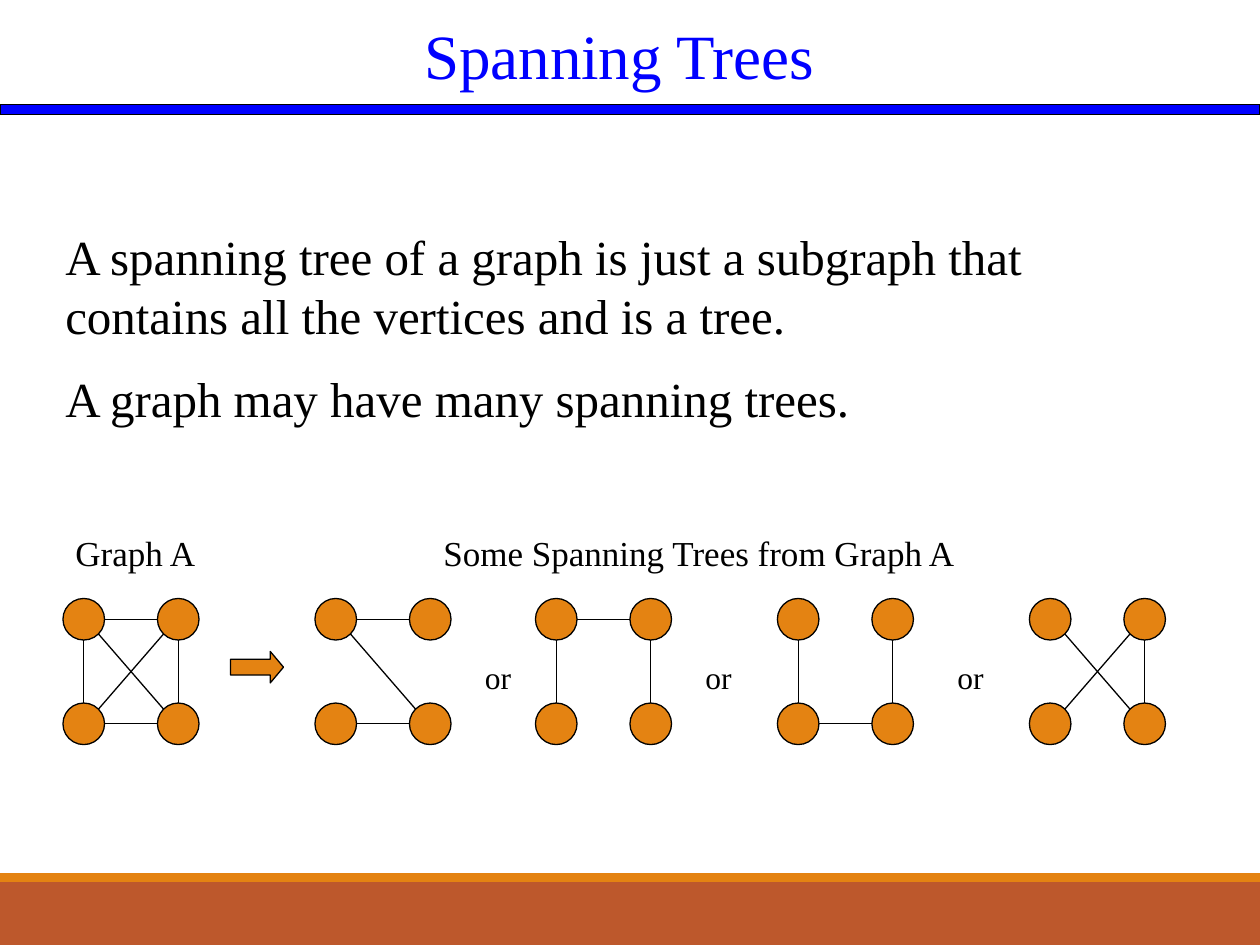
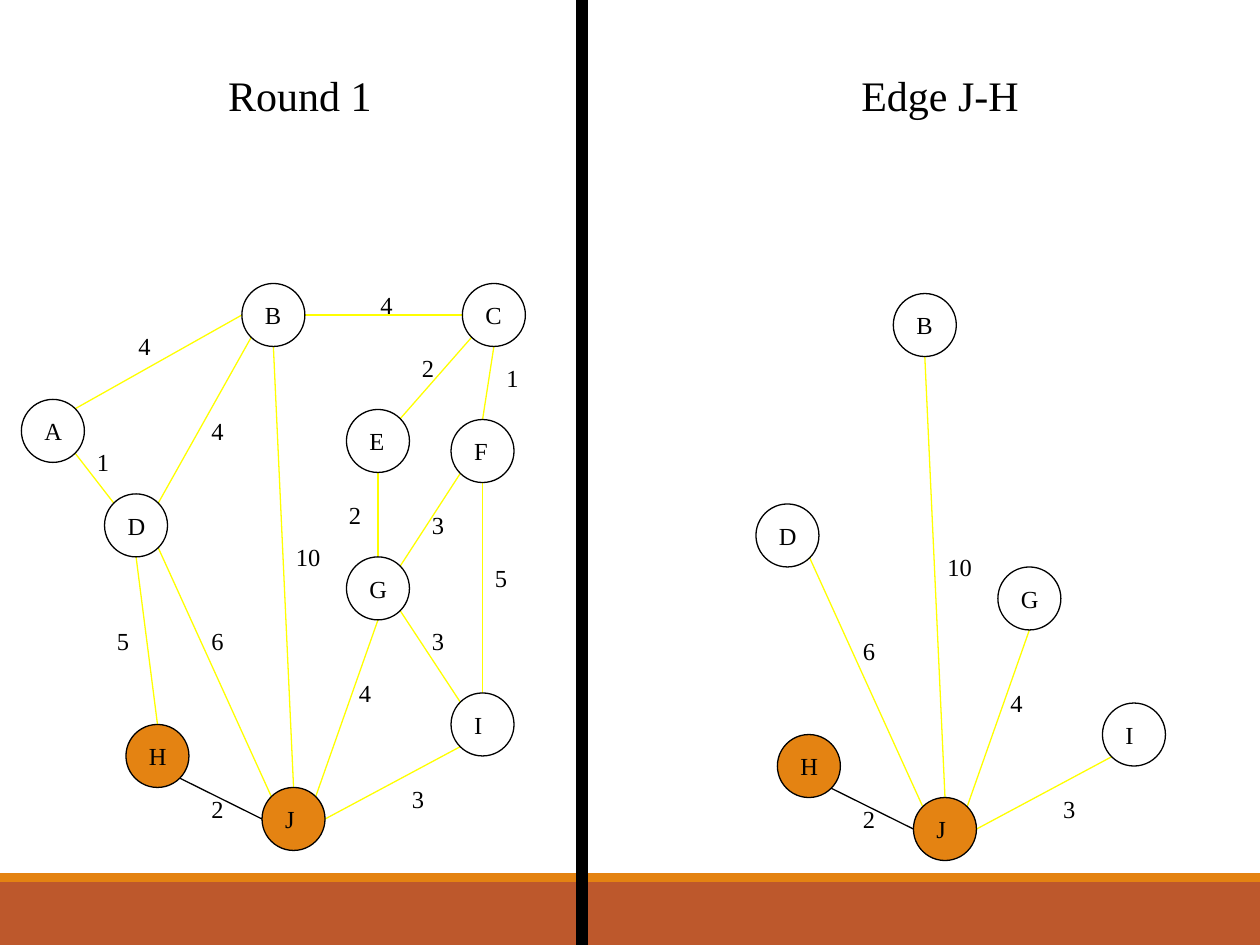
from pptx import Presentation
from pptx.dml.color import RGBColor
from pptx.enum.shapes import MSO_CONNECTOR, MSO_SHAPE
from pptx.enum.text import MSO_ANCHOR, MSO_AUTO_SIZE, PP_ALIGN
from pptx.oxml.ns import qn
from pptx.util import Inches, Pt
from lxml.etree import SubElement

FONT = "Times New Roman"
COLORS = {"black": "000000", "blue": "0000FF", "yellow": "FFFF00",
          "orange": "E48312", "rust": "BD582C", "white": "FFFFFF"}

# Points on a circle, as fractions of its box; the diagonals lie at 45 degrees.
NEAR, FAR = 0.15, 0.85
SITES = {"n": (0.5, 0), "s": (0.5, 1), "w": (0, 0.5), "e": (1, 0.5),
         "nw": (NEAR, NEAR), "ne": (FAR, NEAR), "sw": (NEAR, FAR), "se": (FAR, FAR)}

DEFINITIONS = [
    "A spanning tree of a graph is just a subgraph that contains all the vertices and is a tree.",
    "A graph may have many spanning trees.",
]
CAPTIONS = [("Graph A", 0.5, 1.17), ("Some Spanning Trees from Graph A", 3.42, 5.17)]
SQUARE_TOP, SQUARE_NODE = 4.75, 0.33
SQUARE_NODES = {"nw": (0, 0), "ne": (0.75, 0), "sw": (0, 0.83), "se": (0.75, 0.83)}
SQUARE_EDGES = {
    "top": ("nw", "e", "ne", "w"), "bottom": ("sw", "e", "se", "w"),
    "left": ("nw", "s", "sw", "n"), "right": ("ne", "s", "se", "n"),
    "rising": ("ne", "sw", "sw", "ne"), "falling": ("nw", "se", "se", "nw"),
}
SQUARES = [  # left, edges kept
    (0.5, list(SQUARE_EDGES)),
    (2.5, ["top", "bottom", "falling"]),
    (4.25, ["top", "left", "right"]),
    (6.17, ["left", "bottom", "right"]),
    (8.17, ["right", "rising", "falling"]),
]
OR_LEFTS = [3.75, 5.5, 7.5]

NODE = 0.5
NODES = {
    "A": (0.17, 3.17), "B": (1.92, 2.25), "C": (3.67, 2.25), "D": (0.83, 3.92),
    "E": (2.75, 3.25), "F": (3.58, 3.33), "G": (2.75, 4.42), "H": (1, 5.75),
    "I": (3.58, 5.5), "J": (2.08, 6.25),
}
EDGES = [  # start, site, end, site, weight, weight position
    ("A", "ne", "B", "w", 4, (1, 2.58)),
    ("A", "se", "D", "nw", 1, (0.67, 3.5)),
    ("B", "e", "C", "w", 4, (2.92, 2.25)),
    ("B", "sw", "D", "ne", 4, (1.58, 3.25)),
    ("B", "s", "J", "n", 10, (2.25, 4.25)),
    ("C", "sw", "E", "ne", 2, (3.25, 2.75)),
    ("C", "s", "F", "n", 1, (3.92, 2.83)),
    ("D", "s", "H", "n", 5, (0.83, 4.92)),
    ("D", "se", "J", "nw", 6, (1.58, 4.92)),
    ("E", "s", "G", "n", 2, (2.67, 3.92)),
    ("F", "sw", "G", "ne", 3, (3.33, 4)),
    ("F", "s", "I", "n", 5, (3.83, 4.42)),
    ("G", "se", "I", "nw", 3, (3.33, 4.92)),
    ("G", "s", "J", "ne", 4, (2.75, 5.33)),
    ("H", "se", "J", "w", 2, (1.58, 6.25)),
    ("J", "e", "I", "sw", 3, (3.17, 6.17)),
]
CHOSEN = {"H", "J"}
PANELS = [  # title, title left, graph shift, edges shown
    ("Round 1", 0.92, (0, 0), EDGES),
    ("Edge J-H", 6, (5.17, 0.08), [edge for edge in EDGES if "J" in (edge[0], edge[2])]),
]


def color(name):
    return RGBColor.from_string(COLORS[name])


def style_text(frame, size, font_color="black", align=PP_ALIGN.LEFT):
    for paragraph in frame.paragraphs:
        paragraph.alignment = align
        for run in paragraph.runs:
            run.font.name = FONT
            run.font.size = Pt(size)
            run.font.color.rgb = color(font_color)


def add_text(slide, text, left, top, width, height, size, font_color="black",
             align=PP_ALIGN.LEFT, wrap=True):
    box = slide.shapes.add_textbox(Inches(left), Inches(top), Inches(width), Inches(height))
    frame = box.text_frame
    frame.text = text
    frame.word_wrap = wrap
    frame.auto_size = MSO_AUTO_SIZE.SHAPE_TO_FIT_TEXT
    style_text(frame, size, font_color, align)
    return frame


def add_shape(slide, kind, left, top, width, height, fill=None, line="black"):
    shape = slide.shapes.add_shape(kind, Inches(left), Inches(top), Inches(width), Inches(height))
    shape.shadow.inherit = False
    if fill:
        shape.fill.solid()
        shape.fill.fore_color.rgb = color(fill)
    else:
        shape.fill.background()
    if line:
        shape.line.color.rgb = color(line)
        shape.line.width = Pt(0.75)
    else:
        shape.line.fill.background()
    return shape


def add_edge(slide, start, start_site, end, end_site, size, line="black"):
    """Join two circles, given by their top left corners, at the named sites."""
    ends = [Inches(corner + size * fraction)
            for node, site in ((start, start_site), (end, end_site))
            for corner, fraction in zip(node, SITES[site])]
    connector = slide.shapes.add_connector(MSO_CONNECTOR.STRAIGHT, *ends)
    connector.line.color.rgb = color(line)
    connector.line.width = Pt(0.75)
    SubElement(connector._element.spPr, qn("a:effectLst"))


def shifted(nodes, shift):
    return {name: (x + shift[0], y + shift[1]) for name, (x, y) in nodes.items()}


def add_slide(presentation):
    slide = presentation.slides.add_slide(presentation.slide_layouts[6])
    slide.background.fill.solid()
    slide.background.fill.fore_color.rgb = color("white")
    add_shape(slide, MSO_SHAPE.RECTANGLE, 0, 7, 10, 0.5, "rust", None)
    add_shape(slide, MSO_SHAPE.RECTANGLE, 0, 6.93, 10, 0.07, "orange", None)
    return slide


def add_square(slide, left, edges):
    nodes = shifted(SQUARE_NODES, (left, SQUARE_TOP))
    for x, y in nodes.values():
        add_shape(slide, MSO_SHAPE.OVAL, x, y, SQUARE_NODE, SQUARE_NODE, "orange")
    for name in edges:
        start, start_site, end, end_site = SQUARE_EDGES[name]
        add_edge(slide, nodes[start], start_site, nodes[end], end_site, SQUARE_NODE)


def add_node(slide, name, left, top):
    circle = add_shape(slide, MSO_SHAPE.OVAL, left, top, NODE, NODE,
                       "orange" if name in CHOSEN else None)
    frame = circle.text_frame
    frame.text = name
    frame.margin_left = Inches(0.11)
    frame.margin_right = frame.margin_top = frame.margin_bottom = 0
    frame.vertical_anchor = MSO_ANCHOR.MIDDLE
    style_text(frame, 14)


def add_weighted_graph(slide, shift, edges):
    nodes = shifted(NODES, shift)
    for start, start_site, end, end_site, weight, (x, y) in edges:
        line = "black" if {start, end} == CHOSEN else "yellow"
        add_edge(slide, nodes[start], start_site, nodes[end], end_site, NODE, line)
        add_text(slide, str(weight), x + shift[0], y + shift[1],
                 0.4 if weight > 9 else 0.3, 0.33, 14, wrap=False)
    shown = {name for edge in edges for name in (edge[0], edge[2])}
    for name in sorted(shown):
        add_node(slide, name, *nodes[name])


def build_spanning_trees(presentation):
    slide = add_slide(presentation)
    add_text(slide, "Spanning Trees", 3.25, 0.08, 3.33, 0.7, 36, "blue", PP_ALIGN.CENTER)
    add_shape(slide, MSO_SHAPE.RECTANGLE, 0, 0.83, 10, 0.08, "blue")
    body = add_text(slide, "\n".join(DEFINITIONS), 0.42, 1.75, 9.17, 1.74, 28)
    for paragraph in body.paragraphs[1:]:
        paragraph.space_before = Pt(14)
    for caption, left, width in CAPTIONS:
        add_text(slide, caption, left, 4.17, width, 0.43, 20)
    for left, edges in SQUARES:
        add_square(slide, left, edges)
    arrow = add_shape(slide, MSO_SHAPE.RIGHT_ARROW, 1.83, 5.17, 0.42, 0.25, "orange")
    arrow.adjustments[1] = 0.42
    for left in OR_LEFTS:
        add_text(slide, "or", left, 5.17, 0.42, 0.4, 18)


def build_first_round(presentation):
    slide = add_slide(presentation)
    add_shape(slide, MSO_SHAPE.RECTANGLE, 4.58, 0, 0.08, 7.5, "black")
    for title, left, shift, edges in PANELS:
        add_text(slide, title, left, 0.5, 2.92, 0.5, 24, align=PP_ALIGN.CENTER)
        add_weighted_graph(slide, shift, edges)


def main():
    presentation = Presentation()
    presentation.slide_width, presentation.slide_height = Inches(10), Inches(7.5)
    build_spanning_trees(presentation)
    build_first_round(presentation)
    presentation.save("out.pptx")


if __name__ == "__main__":
    main()
